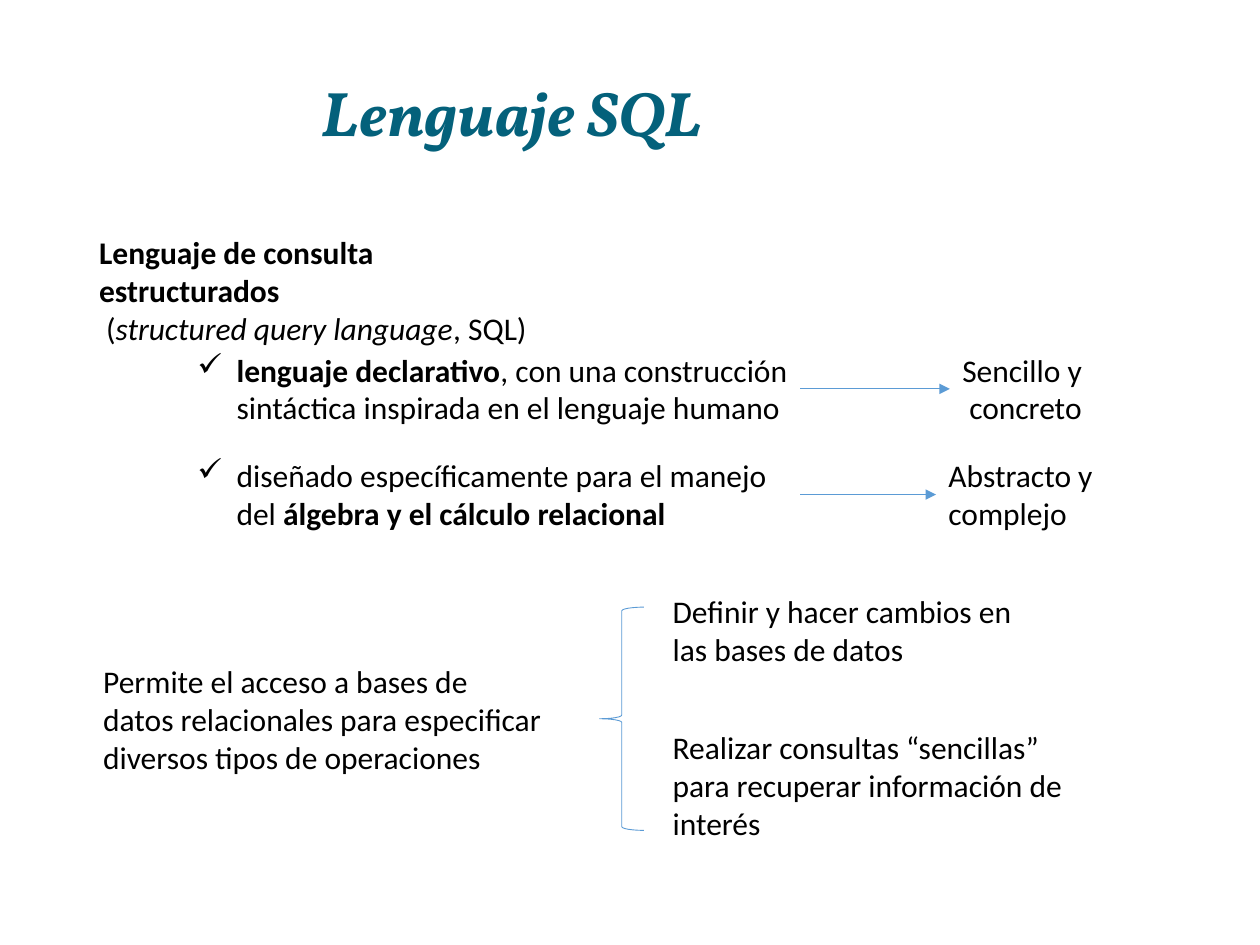
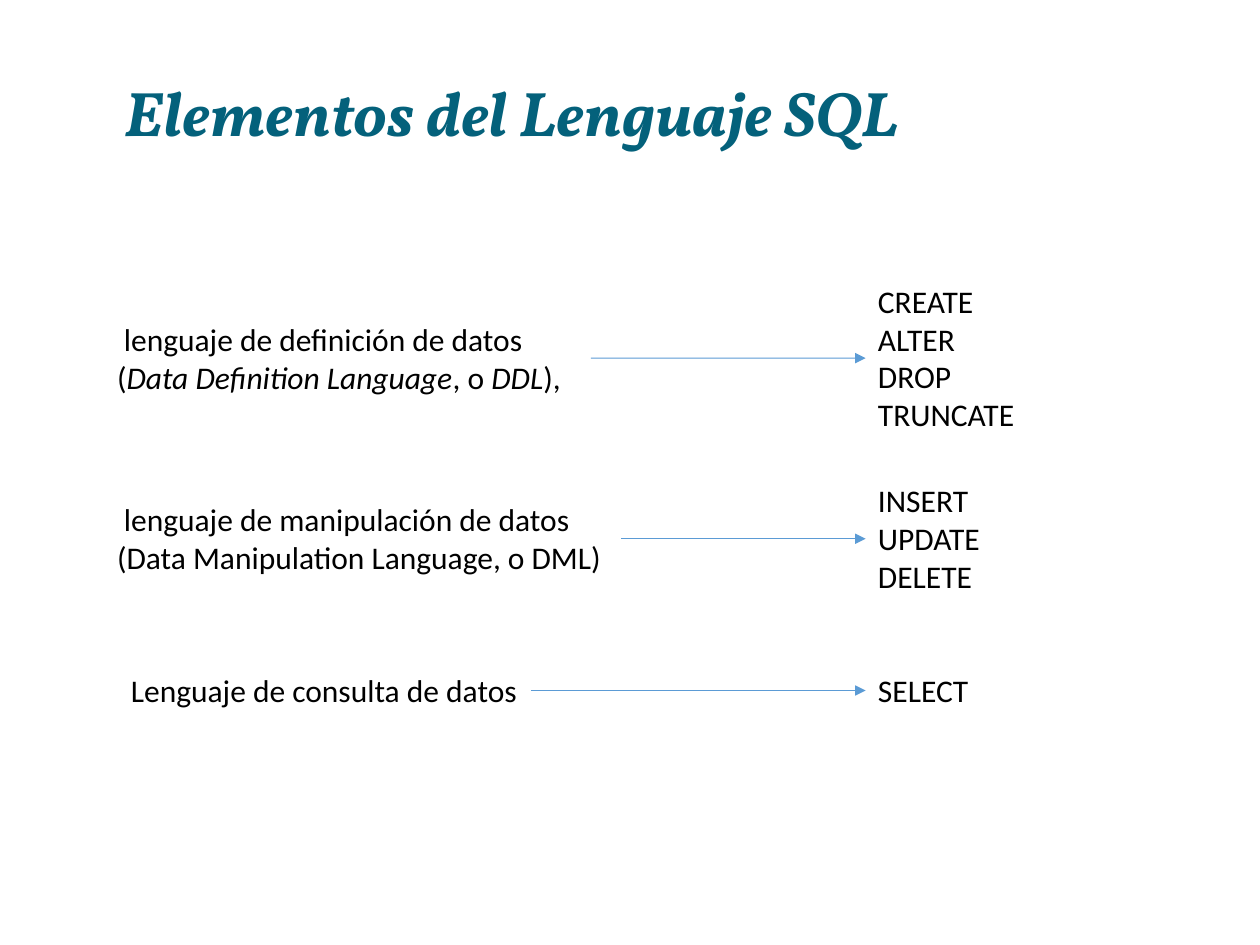
import pptx
import pptx.dml.color
import pptx.enum.shapes
import pptx.enum.text
import pptx.oxml
import pptx.oxml.ns
import pptx.util

Cm = pptx.util.Cm
COLORS = {"title": "04617B", "text": "000000", "line": "5B9BD5", "paper": "FFFFFF"}
TITLE = {"name": "Vollkorn", "size": pptx.util.Pt(36), "bold": True, "italic": True}
BODY = {"name": "Calibri", "size": pptx.util.Pt(18), "bold": False, "italic": False}
BOLD = {"bold": True}
ITALIC = {"italic": True}
TOP, LEFT, BOTTOM, RIGHT = range(4)
SPACE = 0.14
BULLET_INDENT = 0.79


def rgb(key):
    return pptx.dml.color.RGBColor.from_string(COLORS[key])


def add_xml(parent, tag, **attributes):
    child = pptx.oxml.parse_xml(f"<a:{tag} {pptx.oxml.ns.nsdecls('a')}/>")
    for name, value in attributes.items():
        child.set(name, value)
    parent.append(child)


class Deck:
    def __init__(self):
        self.presentation = pptx.Presentation()
        self.presentation.slide_width = Cm(25.4)
        self.presentation.slide_height = Cm(19.05)
        self.slide = None

    def new_slide(self, title):
        self.slide = self.presentation.slides.add_slide(self.presentation.slide_layouts[6])
        background = self.slide.background.fill
        background.solid()
        background.fore_color.rgb = rgb("paper")
        heading = self.slide.shapes.add_textbox(Cm(0.56), Cm(0.94), Cm(19.53), Cm(2.59))
        frame = heading.text_frame
        frame.word_wrap = True
        frame.vertical_anchor = pptx.enum.text.MSO_ANCHOR.MIDDLE
        frame.paragraphs[0].alignment = pptx.enum.text.PP_ALIGN.CENTER
        self.run(frame.paragraphs[0], title, TITLE, "title")

    def run(self, paragraph, text, style, color="text"):
        run = paragraph.add_run()
        run.text = text
        for name, value in style.items():
            setattr(run.font, name, value)
        run.font.color.rgb = rgb(color)

    def text(self, left, middle, width, lines, *paragraphs, first_indents=(), bullet=False, wrap=True):
        """Place a box for a number of lines, centred on middle.

        A paragraph is a string or a list of strings and (string, style) pairs;
        "\\n" alone in such a list breaks the line.
        """
        height = 0.25 + 0.77 * lines
        box = self.slide.shapes.add_textbox(Cm(left), Cm(middle - height / 2), Cm(width), Cm(height))
        frame = box.text_frame
        frame.word_wrap = wrap
        frame.auto_size = pptx.enum.text.MSO_AUTO_SIZE.SHAPE_TO_FIT_TEXT
        for index, pieces in enumerate(paragraphs):
            paragraph = frame.add_paragraph() if index else frame.paragraphs[0]
            properties = paragraph._p.get_or_add_pPr()
            if bullet:
                properties.set("marL", str(Cm(BULLET_INDENT)))
                properties.set("indent", str(-Cm(BULLET_INDENT)))
                add_xml(properties, "buChar", char="✓")
            elif index in first_indents:
                properties.set("indent", str(Cm(SPACE)))
            for piece in [pieces] if isinstance(pieces, str) else pieces:
                if piece == "\n":
                    paragraph.add_line_break()
                    continue
                words, style = (piece, {}) if isinstance(piece, str) else piece
                self.run(paragraph, words, BODY | style)
        return box

    def outline(self, line):
        line.color.rgb = rgb("line")
        line.width = pptx.util.Pt(0.5)

    def arrow(self, source, target):
        arrow = self.slide.shapes.add_connector(pptx.enum.shapes.MSO_CONNECTOR.STRAIGHT, 0, 0, 0, 0)
        arrow.begin_connect(source, RIGHT)
        arrow.end_connect(target, LEFT)
        self.outline(arrow.line)
        add_xml(arrow.line._get_or_add_ln(), "tailEnd", type="triangle")
        add_xml(arrow._element.spPr, "effectLst")

    def brace(self, left, top, width, height):
        brace = self.slide.shapes.add_shape(
            pptx.enum.shapes.MSO_SHAPE.LEFT_BRACE, Cm(left), Cm(top), Cm(width), Cm(height))
        brace.shadow.inherit = False
        brace.fill.background()
        self.outline(brace.line)


def add_language_slide(deck):
    deck.new_slide("Lenguaje SQL")
    deck.text(1.75, 5.47, 9.47, 2,
              [("Lenguaje de consulta estructurados", BOLD)],
              ["(", ("structured query language", ITALIC), ", SQL)"], first_indents=(1,))

    declarative_row, relational_row = 7.84, 9.97
    declarative = deck.text(
        3.73, declarative_row, 12.4, 2,
        [("lenguaje declarativo", BOLD),
         ", con una construcción sintáctica inspirada en el lenguaje humano"], bullet=True)
    relational = deck.text(
        3.73, relational_row, 12.4, 2,
        ["diseñado específicamente para el manejo del ",
         ("álgebra y el cálculo relacional", BOLD)], bullet=True)
    simple = deck.text(19.15, declarative_row, 2.92, 2, "Sencillo y", "concreto",
                       first_indents=(1,), wrap=False)
    abstract = deck.text(18.87, relational_row, 3.78, 2, "Abstracto y complejo")
    deck.arrow(declarative, simple)
    deck.arrow(relational, abstract)

    deck.text(1.83, 14.5, 9.4, 3,
              "Permite el acceso a bases de datos relacionales para especificar "
              "diversos tipos de operaciones")
    deck.brace(12.09, 12.24, 0.89, 4.5)
    deck.text(13.31, 12.71, 7.82, 2, "Definir y hacer cambios en las bases de datos")
    deck.text(13.31, 15.84, 8.76, 3,
              "Realizar consultas “sencillas” para recuperar información de interés")


def add_elements_slide(deck):
    deck.new_slide("Elementos del Lenguaje SQL")
    definition = ["lenguaje de definición de datos", "\n", "(",
                  ("Data Definition Language", ITALIC), ", o ", ("DDL", ITALIC), "),"]
    manipulation = ["lenguaje de manipulación de datos", "\n",
                    "(Data Manipulation Language, o DML)"]
    query = "Lenguaje de consulta de datos"
    rows = [
        (7.22, (2.11, 9.8, 2), definition, (0,), 3.68, ["CREATE", "ALTER", "DROP", "TRUNCATE"]),
        (10.86, (2.11, 10.41, 2), manipulation, (0,), 3.4, ["INSERT", "UPDATE", "DELETE"]),
        (13.92, (2.39, 8.31, 1), query, (), 2.59, ["SELECT"]),
    ]
    for middle, (left, width, lines), sublanguage, indents, commands_width, commands in rows:
        source = deck.text(left, middle, width, lines, sublanguage,
                           first_indents=indents, wrap=False)
        target = deck.text(17.45, middle, commands_width, len(commands), *commands)
        deck.arrow(source, target)


def main():
    deck = Deck()
    add_language_slide(deck)
    add_elements_slide(deck)
    deck.presentation.save("out.pptx")


if __name__ == "__main__":
    main()
